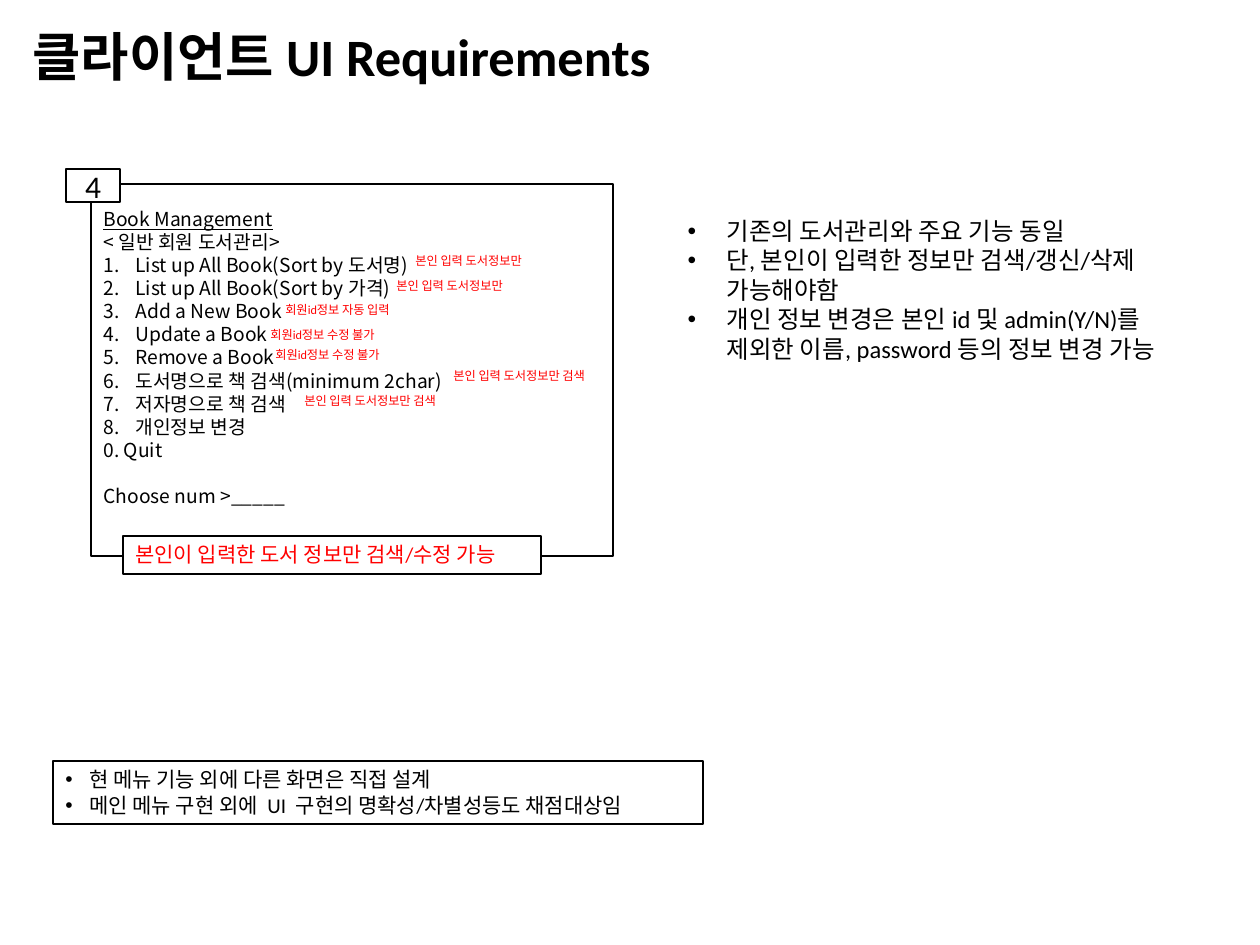
from dataclasses import dataclass

from lxml.etree import SubElement
from pptx import Presentation
from pptx.dml.color import RGBColor
from pptx.enum.shapes import MSO_SHAPE as Preset
from pptx.enum.text import MSO_ANCHOR as Anchor, MSO_AUTO_SIZE as AutoSize, PP_ALIGN as Align
from pptx.oxml.ns import qn
from pptx.util import Pt

EMU_PER_PX = 914400 / 126
COLORS = {"text": "000000", "accent": "FF0000", "fill": "FFFFFF", "line": "000000"}
LATIN, KOREAN = "Calibri", "Noto Sans CJK KR"


@dataclass
class Box:
    left: int
    top: int
    width: int
    height: int


@dataclass
class Line:
    text: str
    marker: str = ""  # "•" for a bullet, "1." for automatic numbering
    underline: bool = False
    before: float = 0


@dataclass
class Remark:
    text: str
    left: int
    top: int
    width: int


MENU = [
    Line("Book Management", underline=True),
    Line("< 일반 회원 도서관리>"),
    *(Line(text, "1.") for text in (
        "List up All Book(Sort by 도서명)",
        "List up All Book(Sort by 가격)",
        "Add a New Book",
        "Update a Book",
        "Remove a Book",
        "도서명으로 책 검색(minimum 2char)",
        "저자명으로 책 검색",
        "개인정보 변경",
    )),
    Line("0. Quit"),
    Line("Choose num >_____", before=13.3),
]
REQUIREMENTS = [
    Line("기존의 도서관리와 주요 기능 동일", "•"),
    Line("단, 본인이 입력한 정보만 검색/갱신/삭제 가능해야함", "•"),
    Line("개인 정보 변경은 본인 id 및 admin(Y/N)를 제외한 이름, password 등의 정보 변경 가능", "•"),
]
GRADING_NOTES = [
    Line("현 메뉴 기능 외에 다른 화면은 직접 설계", "•"),
    Line("메인 메뉴 구현 외에  UI  구현의 명확성/차별성등도 채점대상임", "•"),
]
OWN_BOOKS, NO_EDIT = "본인 입력 도서정보만", "회원id정보 수정 불가"
REMARKS = [
    Remark("회원id정보 자동 입력", 273, 296, 140),
    Remark(NO_EDIT, 258, 321, 140),
    Remark(NO_EDIT, 263, 341, 140),
    Remark(OWN_BOOKS, 403, 247, 142),
    Remark(OWN_BOOKS, 384, 272, 145),
    Remark(OWN_BOOKS + " 검색", 441, 362, 170),
    Remark(OWN_BOOKS + " 검색", 292, 387, 170),
]


def px(length: int) -> int:
    return round(length * EMU_PER_PX)


def rgb(name: str) -> RGBColor:
    return RGBColor.from_string(COLORS[name])


def edges(box: Box) -> list[int]:
    return [px(length) for length in (box.left, box.top, box.width, box.height)]


def place(shape, box: Box) -> None:
    shape.left, shape.top, shape.width, shape.height = edges(box)


def set_marker(paragraph, marker: str, indent: int) -> None:
    """Set the hanging indent and the bullet, number or absence of both."""
    properties = paragraph._p.get_or_add_pPr()
    properties.set("marL", str(px(indent)))
    properties.set("indent", str(-px(indent)))
    if marker == "•":
        SubElement(properties, qn("a:buFont"), typeface="Arial")
        SubElement(properties, qn("a:buChar"), char=marker)
    elif marker:
        SubElement(properties, qn("a:buFont"), typeface="+mj-lt")
        SubElement(properties, qn("a:buAutoNum"), type="arabicPeriod")
    else:
        SubElement(properties, qn("a:buNone"))


def write(shape, lines: list[Line], *, size: float, font: str = LATIN, color: str = "text",
          bold: bool = False, align: Align = Align.LEFT, anchor: Anchor = Anchor.TOP,
          indent: int = 0, spacing: float = 1.0, top_inset: int = 6) -> None:
    frame = shape.text_frame
    frame.word_wrap = True
    frame.auto_size = AutoSize.NONE
    frame.vertical_anchor = anchor
    frame.margin_top = px(top_inset)
    for index, line in enumerate(lines):
        paragraph = frame.add_paragraph() if index else frame.paragraphs[0]
        paragraph.alignment = align
        paragraph.line_spacing = spacing
        paragraph.space_before = Pt(line.before)
        set_marker(paragraph, line.marker, indent)
        run = paragraph.add_run()
        run.text = line.text
        run.font.name, run.font.size = font, Pt(size)
        run.font.bold, run.font.underline = bold, line.underline
        run.font.color.rgb = rgb(color)


def add_frame(slide, box: Box):
    """Add a white rectangle with a thin black outline."""
    shape = slide.shapes.add_shape(Preset.RECTANGLE, *edges(box))
    shape.shadow.inherit = False
    shape.fill.solid()
    shape.fill.fore_color.rgb = rgb("fill")
    shape.line.color.rgb = rgb("line")
    shape.line.width = Pt(1)
    return shape


def add_remark(slide, remark: Remark) -> None:
    box = Box(remark.left, remark.top, remark.width, 28)
    write(slide.shapes.add_textbox(*edges(box)), [Line(remark.text)], size=7, color="accent")


def main() -> None:
    presentation = Presentation()
    presentation.slide_width, presentation.slide_height = px(1260), px(945)
    slide = presentation.slides.add_slide(presentation.slide_layouts[1])

    title, body = slide.shapes.title, slide.placeholders[1]
    place(title, Box(20, 25, 1086, 110))
    write(title, [Line("클라이언트 UI Requirements")], size=30, bold=True, spacing=0.9)
    place(body, Box(675, 210, 538, 161))
    write(body, REQUIREMENTS, size=14, indent=39)

    grading = add_frame(slide, Box(53, 761, 650, 63))
    write(grading, GRADING_NOTES, size=12, indent=24)
    menu = add_frame(slide, Box(91, 184, 522, 372))
    write(menu, MENU, size=11, font=KOREAN, indent=32, top_inset=23)
    number = add_frame(slide, Box(66, 169, 54, 33))
    write(number, [Line("4")], size=18, align=Align.CENTER, anchor=Anchor.MIDDLE)
    restriction = add_frame(slide, Box(123, 536, 418, 38))
    write(restriction, [Line("본인이 입력한 도서 정보만 검색/수정 가능")], size=12, color="accent")

    for remark in REMARKS:
        add_remark(slide, remark)
    presentation.save("out.pptx")


if __name__ == "__main__":
    main()
